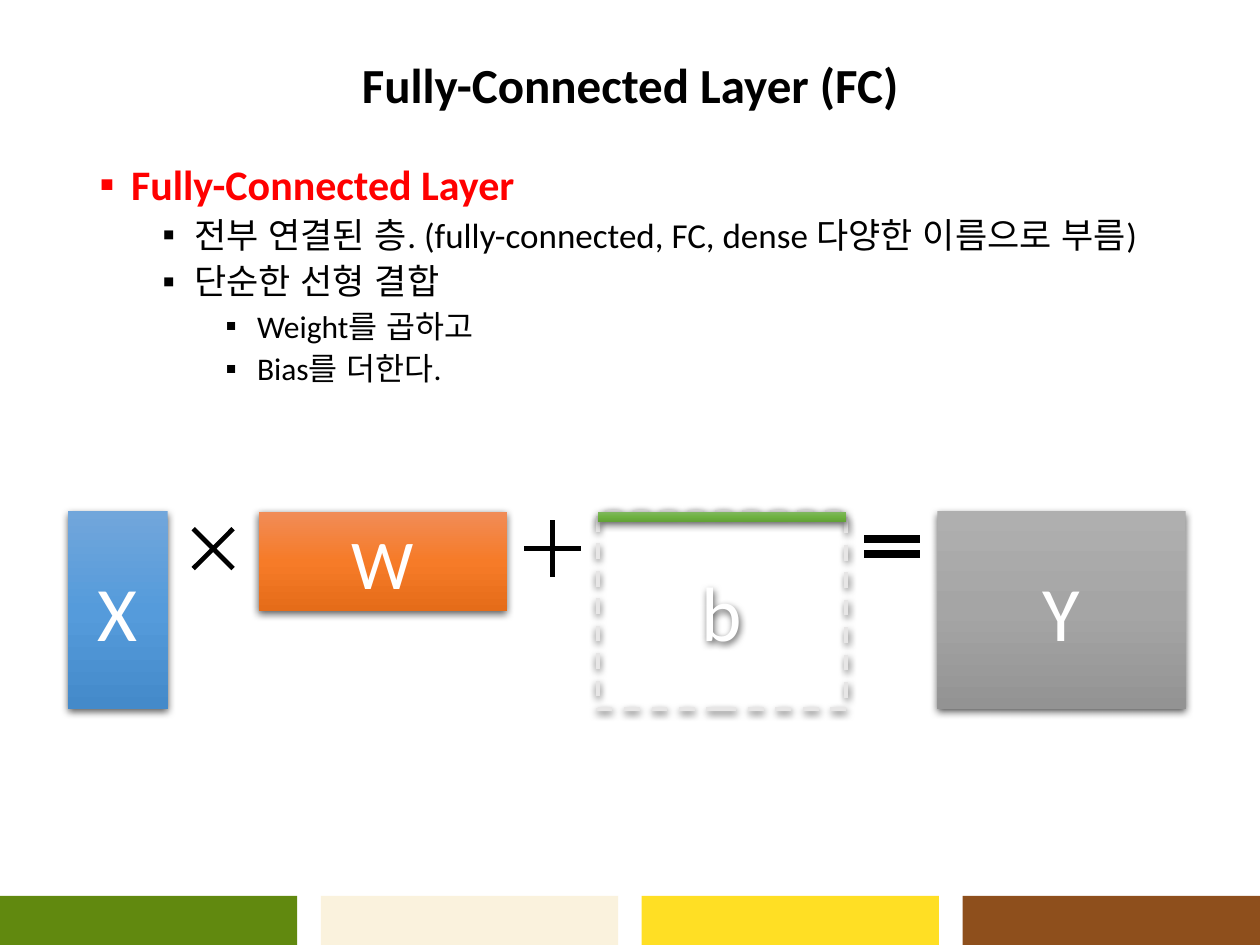
import copy

import pptx
import pptx.dml.color
import pptx.enum.dml
import pptx.enum.lang
import pptx.enum.shapes
import pptx.enum.text
import pptx.oxml
import pptx.oxml.ns
import pptx.util
from pptx.util import Inches

FONT = "Calibri"
KOREAN_FONT = "맑은 고딕"
SHAPE = pptx.enum.shapes.MSO_SHAPE
CENTER = pptx.enum.text.PP_ALIGN.CENTER
MIDDLE = pptx.enum.text.MSO_ANCHOR.MIDDLE
qn = pptx.oxml.ns.qn


def rgb(hex_string):
    return pptx.dml.color.RGBColor.from_string(hex_string)


def add_element(parent, tag, **attributes):
    element = pptx.oxml.parse_xml(f'<{tag} {pptx.oxml.ns.nsdecls("a")}/>')
    for key, value in attributes.items():
        element.set(key, value)
    parent.append(element)
    return element


def add_run(paragraph, text, size, color, bold=False):
    run = paragraph.add_run()
    run.text = text
    run.font.name = FONT
    run.font.size = pptx.util.Pt(size)
    run.font.bold = bold
    run.font.color.rgb = rgb(color)
    return run


def place(placeholder, box):
    placeholder.left, placeholder.top, placeholder.width, placeholder.height = (
        Inches(length) for length in box)


def add_plain_shape(slide, kind, box, fill=None):
    """Add a shape with no shadow, no line and at most a solid fill."""
    shape = slide.shapes.add_shape(kind, *(Inches(length) for length in box))
    shape.shadow.inherit = False
    shape.line.fill.background()
    if fill:
        shape.fill.solid()
        shape.fill.fore_color.rgb = rgb(fill)
    else:
        shape.fill.background()
    return shape


def add_shadow(shape):
    effects = shape._element.spPr.find(qn("a:effectLst"))
    shadow = add_element(effects, "a:outerShdw", blurRad="57150", dist="19050",
                         dir="5400000", algn="ctr", rotWithShape="0")
    color = add_element(shadow, "a:srgbClr", val="000000")
    add_element(color, "a:alpha", val="63000")


def fill_gradient(shape, colors):
    """Fill from top to bottom with evenly spaced colours."""
    shape.fill.gradient()
    shape.fill.gradient_angle = 270
    stop_list = shape._element.spPr.find(".//" + qn("a:gsLst"))
    while len(stop_list) < len(colors):
        stop_list.insert(1, copy.deepcopy(stop_list[0]))
    for index, (stop, color) in enumerate(zip(shape.fill.gradient_stops, colors)):
        stop.position = index / (len(colors) - 1)
        stop.color.rgb = rgb(color)


def add_matrix(slide, box, colors=None, letter="", size=44):
    matrix = add_plain_shape(slide, SHAPE.RECTANGLE, box)
    if colors:
        fill_gradient(matrix, colors)
    add_shadow(matrix)
    if letter:
        matrix.text_frame.vertical_anchor = MIDDLE
        paragraph = matrix.text_frame.paragraphs[0]
        paragraph.alignment = CENTER
        add_run(paragraph, letter, size, "FFFFFF")
    return matrix


def add_operator(slide, kind, box, adjustments):
    operator = add_plain_shape(slide, kind, box, "000000")
    operator.line.color.rgb = rgb("000000")
    operator.line.width = pptx.util.Pt(1)
    add_element(operator._element.spPr.find(qn("a:ln")), "a:miter", lim="800000")
    for index, value in enumerate(adjustments):
        operator.adjustments[index] = value


def fill_title(title, box, text):
    place(title, box)
    title.text_frame.vertical_anchor = MIDDLE
    paragraph = title.text_frame.paragraphs[0]
    paragraph.alignment = CENTER
    paragraph.line_spacing = 0.9
    add_run(paragraph, text, 28, "000000", bold=True)


def fill_body(body, box, items):
    place(body, box)
    styles = [(24, "FF0000", True), (20, "000000", False), (18, "000000", False)]
    frame = body.text_frame
    for index, (level, text) in enumerate(items):
        paragraph = frame.add_paragraph() if index else frame.paragraphs[0]
        paragraph.level = level
        paragraph.line_spacing = 0.9
        paragraph.space_before = pptx.util.Pt(5 if index else 0)
        properties = paragraph._p.get_or_add_pPr()
        properties.set("marL", str(Inches(0.25 + 0.5 * level)))
        properties.set("indent", str(Inches(-0.25)))
        add_element(properties, "a:buFont", typeface=FONT)
        add_element(properties, "a:buChar", char="▪")
        run = add_run(paragraph, text, *styles[level])
        run.font.language_id = pptx.enum.lang.MSO_LANGUAGE_ID.KOREAN
        add_element(run._r.get_or_add_rPr(), "a:ea", typeface=KOREAN_FONT)


def add_equation(slide, box):
    """Lay out X × W + b = Y across the box with equal gaps."""
    left, top, width, height = box
    short, long, sign = 0.79, 1.97, 0.59
    gap = (width - short - 3 * long - 3 * sign) / 6
    x_left = left
    times_left = x_left + short + gap
    w_left = times_left + sign + gap
    plus_left = w_left + long + gap
    b_left = plus_left + sign + gap
    equals_left = b_left + long + gap
    y_left = equals_left + sign + gap

    bias = add_matrix(slide, (b_left, top, long, height), letter="b")
    bias.line.color.rgb = rgb("E7E6E6")
    bias.line.width = pptx.util.Pt(2.25)
    bias.line.dash_style = pptx.enum.dml.MSO_LINE.DASH
    add_matrix(slide, (x_left, top, short, height), ("71A6DB", "559BDB", "448ACA"), "X")
    add_matrix(slide, (w_left, top, long, short), ("F18C57", "F67B28", "E56C19"), "W", 40)
    add_matrix(slide, (b_left, top, long, 0.08), ("81B861", "6FB242", "62A336"))
    add_matrix(slide, (y_left, top, long, height), ("AFAFAF", "A5A5A5", "939393"), "Y")

    add_operator(slide, SHAPE.MATH_MULTIPLY, (times_left, top, sign, sign), [0.04])
    add_operator(slide, SHAPE.MATH_PLUS, (plus_left, top, sign, sign), [0.05])
    add_operator(slide, SHAPE.MATH_EQUAL, (equals_left, top - 0.02, sign, sign), [0.08, 0.12])


def add_footer_bars(slide, box, colors):
    left, top, width, height = box
    bar_width = 2.36
    step = (width - bar_width) / (len(colors) - 1)
    for index, color in enumerate(colors):
        add_plain_shape(slide, SHAPE.RECTANGLE,
                        (left + index * step, top, bar_width, height), color)


def main():
    presentation = pptx.Presentation()
    presentation.slide_width, presentation.slide_height = Inches(10), Inches(7.5)
    slide = presentation.slides.add_slide(presentation.slide_layouts[1])
    add_footer_bars(slide, (0, 7.11, 10, 0.39), ("61890F", "FAF2DD", "FFDF24", "8E4F1C"))
    fill_title(slide.shapes.title, (0.69, 0.4, 8.62, 0.59), "Fully-Connected Layer (FC)")
    fill_body(slide.placeholders[1], (0.69, 1.25, 8.62, 2.06), [
        (0, "Fully-Connected Layer"),
        (1, "전부 연결된 층. (fully-connected, FC, dense 다양한 이름으로 부름)"),
        (1, "단순한 선형 결합"),
        (2, "Weight를 곱하고"),
        (2, "Bias를 더한다."),
    ])
    add_equation(slide, (0.54, 4.06, 8.87, 1.57))
    presentation.save("out.pptx")


if __name__ == "__main__":
    main()
